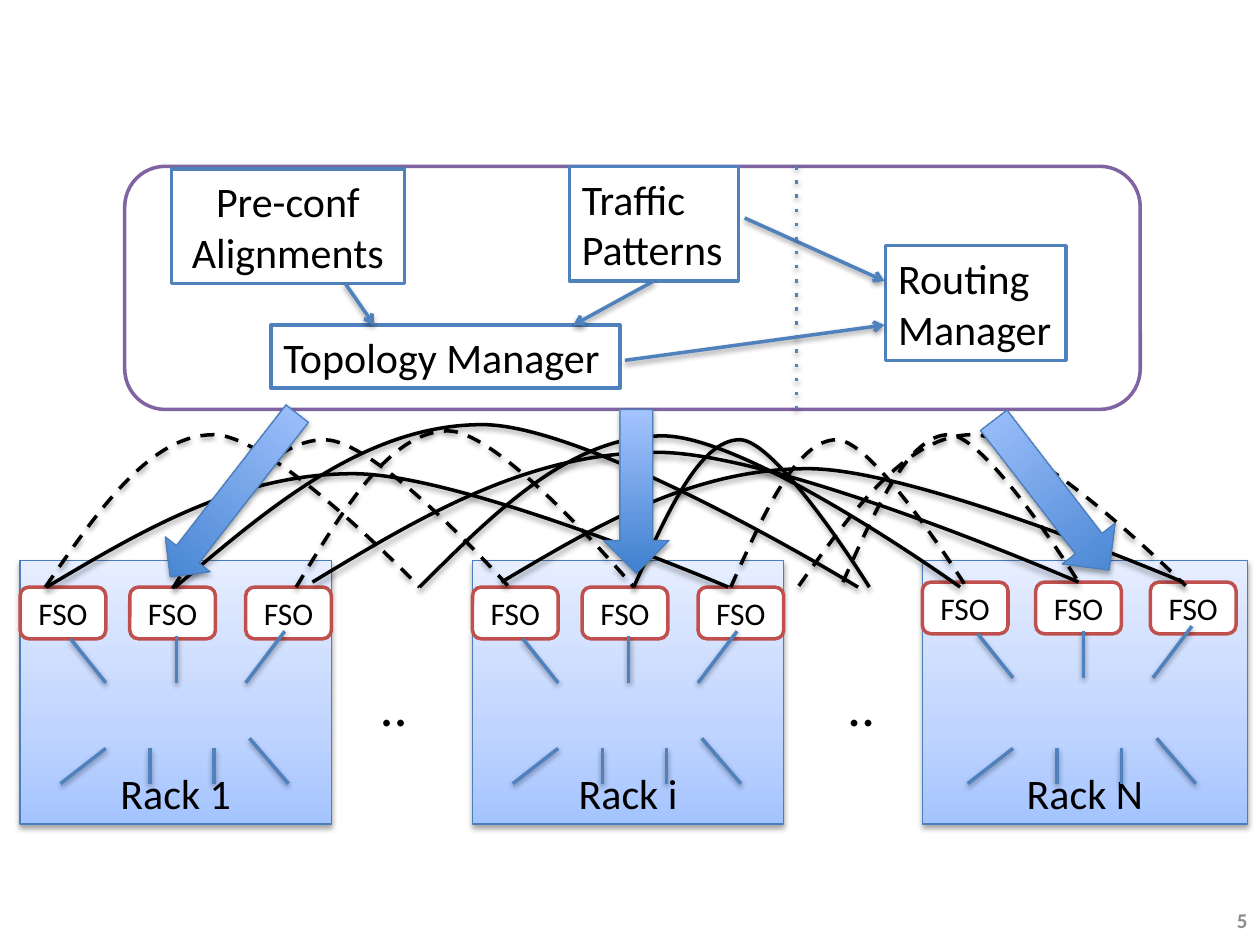
"""Build the rack topology slide: a controller above racks linked by FSO beams."""
from copy import deepcopy
from dataclasses import dataclass

from lxml.etree import SubElement
from pptx import Presentation
from pptx.dml.color import RGBColor
from pptx.enum.dml import MSO_LINE
from pptx.enum.shapes import MSO_CONNECTOR, MSO_SHAPE
from pptx.enum.text import MSO_ANCHOR, PP_ALIGN
from pptx.oxml.ns import qn
from pptx.util import Inches, Pt

BLACK, WHITE, BLUE, EDGE = "000000", "FFFFFF", "4F81BD", "4B7EBC"
RED, PURPLE, GREY = "C0504D", "8064A2", "8C8C8C"
RACK_STOPS = [(0, "A4C4FF"), (0.35, "BFD4FF"), (1, "E6EEFF")]
ARROW_STOPS = [(0, "3F80CE"), (1, "A4C4FF")]
RACK_TOP, RACK_HEIGHT = 4.45, 2.09


@dataclass
class Rack:
    label: str
    left: float
    width: float = 2.47
    fso_offsets: tuple = (0, 0.87, 1.79)
    lift: float = 0
    spoke_shift: float = 0


@dataclass
class Beam:
    left: float
    top: float
    width: float
    height: float
    dashed: bool = False


@dataclass
class Module:
    label: str
    left: float
    top: float
    width: float
    height: float
    align: PP_ALIGN = PP_ALIGN.LEFT


@dataclass
class Arrow:
    left: float
    top: float
    width: float
    height: float
    rotation: float = 0


RACKS = [
    Rack("Rack 1", 0.16),
    Rack("Rack N", 7.32, 2.58, (0, 0.9, 1.81), 0.04, 0.04),
    Rack("Rack i", 3.75),
]
SPOKES_UP = [((0.4, 5.07), (0.68, 5.42)), ((2.1, 5.01), (1.79, 5.42)),
             ((1.24, 5.05), (1.24, 5.42))]
SPOKES_DOWN = [((0.68, 5.94), (0.32, 6.22)), ((1.82, 5.86), (2.13, 6.22)),
               ((1.03, 5.94), (1.03, 6.22)), ((1.54, 5.94), (1.54, 6.22))]
BEAMS = [
    Beam(2.48, 3.59, 6.08, 1.03), Beam(5.8, 3.49, 1.87, 1.17, True),
    Beam(3.98, 3.72, 5.41, 0.9), Beam(0.37, 3.76, 5.41, 0.9),
    Beam(1.37, 3.49, 2.68, 1.18, True), Beam(0.36, 3.45, 2.97, 1.21, True),
    Beam(1.39, 3.37, 5.42, 1.29), Beam(2.35, 3.42, 2.68, 1.24, True),
    Beam(5.03, 3.49, 1.87, 1.17), Beam(6.69, 3.45, 1.87, 1.17, True),
    Beam(6.34, 3.45, 3.07, 1.2, True), Beam(3.33, 3.46, 4.29, 1.2),
]
BEAM_CURVE = [(0.14, 0.5), (0.28, 0), (0.45, 0), (0.61, 0), (1, 1), (1, 1)]
ARROWS = [Arrow(1.63, 3.11, 0.45, 1.64, 37.9), Arrow(4.79, 3.25, 0.52, 1.3),
          Arrow(8.08, 3.18, 0.53, 1.5, 322.4)]
TRAFFIC = Module("Traffic\nPatterns", 4.52, 1.32, 1.34, 0.91)
MODULES = [
    Module("Pre-conf\nAlignments", 1.36, 1.34, 1.85, 0.91, PP_ALIGN.CENTER),
    Module("Topology Manager", 2.15, 2.58, 2.77, 0.5),
    Module("Routing\nManager", 7.03, 1.95, 1.43, 0.91),
]
FLOWS = [((2.74, 2.25), (2.97, 2.58)), ((5.91, 1.73), (7.02, 2.23)),
         ((4.96, 2.86), (7.02, 2.58))]


def color(value: str) -> RGBColor:
    return RGBColor.from_string(value)


def style_line(line, value: str, width: float = 2) -> None:
    line.color.rgb = color(value)
    line.width = Pt(width)


def write(shape, text: str, size: float, align=PP_ALIGN.CENTER,
          anchor=MSO_ANCHOR.MIDDLE, value: str = BLACK, bold: bool = False) -> None:
    frame = shape.text_frame
    frame.text = text
    frame.word_wrap = True
    frame.vertical_anchor = anchor
    for paragraph in frame.paragraphs:
        paragraph.alignment = align
        for run in paragraph.runs:
            run.font.name = "Calibri"
            run.font.size = Pt(size)
            run.font.bold = bold
            run.font.color.rgb = color(value)


def add_label(slide, text: str, box: tuple, size: float, **style) -> None:
    write(slide.shapes.add_textbox(*map(Inches, box)), text, size, **style)


def add_outlined(slide, kind, box: tuple, edge: str):
    shape = slide.shapes.add_shape(kind, *map(Inches, box))
    shape.shadow.inherit = False
    shape.fill.solid()
    shape.fill.fore_color.rgb = color(WHITE)
    style_line(shape.line, edge)
    return shape


def add_gradient(slide, kind, box: tuple, stops: list):
    shape = slide.shapes.add_shape(kind, *map(Inches, box))
    shape.fill.gradient()
    shape.fill.gradient_angle = 90
    stop_list = next(shape._element.iter(qn("a:gsLst")))
    for _ in stops[2:]:
        stop_list.append(deepcopy(stop_list[0]))
    for stop, (position, value) in zip(shape.fill.gradient_stops, stops):
        stop.color.rgb = color(value)
        stop.position = position
    style_line(shape.line, EDGE, 0.75)
    return shape


def add_link(slide, start: tuple, end: tuple, arrow: bool = False):
    link = slide.shapes.add_connector(MSO_CONNECTOR.STRAIGHT, *map(Inches, start + end))
    style_line(link.line, BLUE)
    if arrow:
        SubElement(link.line._get_or_add_ln(), qn("a:tailEnd"), type="arrow")
    return link


def add_rack(slide, rack: Rack) -> None:
    cabinet = add_gradient(slide, MSO_SHAPE.RECTANGLE,
                           (rack.left, RACK_TOP, rack.width, RACK_HEIGHT), RACK_STOPS)
    write(cabinet, rack.label, 24, anchor=MSO_ANCHOR.BOTTOM)
    for offset in rack.fso_offsets:
        box = (rack.left + offset, 4.66 - rack.lift, 0.68, 0.41)
        write(add_outlined(slide, MSO_SHAPE.ROUNDED_RECTANGLE, box, RED), "FSO", 18)
    origin = rack.left + rack.spoke_shift
    for spokes, lift in ((SPOKES_UP, rack.lift), (SPOKES_DOWN, 0)):
        for spoke in spokes:
            add_link(slide, *((origin + x, y - lift) for x, y in spoke))


def add_beam(slide, beam: Beam) -> None:
    def place(x: float, y: float) -> tuple:
        return Inches(beam.left + x * beam.width), Inches(beam.top + y * beam.height)

    builder = slide.shapes.build_freeform(*place(0, 1))
    builder.add_line_segments([place(x, y) for x, y in BEAM_CURVE], close=False)
    curve = builder.convert_to_shape()
    segments = list(curve._element.iter(qn("a:lnTo")))
    outline = segments[0].getparent()
    for index in range(0, len(segments), 3):
        bezier = SubElement(outline, qn("a:cubicBezTo"))
        for segment in segments[index:index + 3]:
            bezier.append(segment[0])
            outline.remove(segment)
    curve.fill.background()
    style_line(curve.line, BLACK)
    if beam.dashed:
        curve.line.dash_style = MSO_LINE.DASH


def add_module(slide, module: Module):
    box = (module.left, module.top, module.width, module.height)
    shape = add_outlined(slide, MSO_SHAPE.RECTANGLE, box, BLUE)
    write(shape, module.label, 24, module.align)
    if module.align == PP_ALIGN.LEFT:
        shape.text_frame.margin_right = 0
    return shape


def main() -> None:
    deck = Presentation()
    deck.slide_width, deck.slide_height = Inches(10), Inches(7.5)
    slide = deck.slides.add_slide(deck.slide_layouts[6])
    add_label(slide, "5", (9.31, 7.1, 0.69, 0.4), 12,
              align=PP_ALIGN.RIGHT, value=GREY, bold=True)
    for rack in RACKS:
        add_rack(slide, rack)
    for left in (2.12, 5.83):
        add_label(slide, "..", (left, 5.07, 2.01, 1.03), 32)
    add_outlined(slide, MSO_SHAPE.ROUNDED_RECTANGLE, (0.99, 1.32, 8.06, 1.93), PURPLE)
    for beam in BEAMS:
        add_beam(slide, beam)
    for arrow in ARROWS:
        box = (arrow.left, arrow.top, arrow.width, arrow.height)
        add_gradient(slide, MSO_SHAPE.DOWN_ARROW, box, ARROW_STOPS).rotation = arrow.rotation
    for module in MODULES:
        add_module(slide, module)
    traffic = add_module(slide, TRAFFIC)
    add_link(slide, (5.19, 2.23), (4.55, 2.58), arrow=True).begin_connect(traffic, 2)
    for start, end in FLOWS:
        add_link(slide, start, end, arrow=True)
    divider = add_link(slide, (6.32, 1.32), (6.32, 3.25))
    SubElement(divider.line._get_or_add_ln(), qn("a:prstDash"), val="dot")
    deck.save("out.pptx")


if __name__ == "__main__":
    main()
